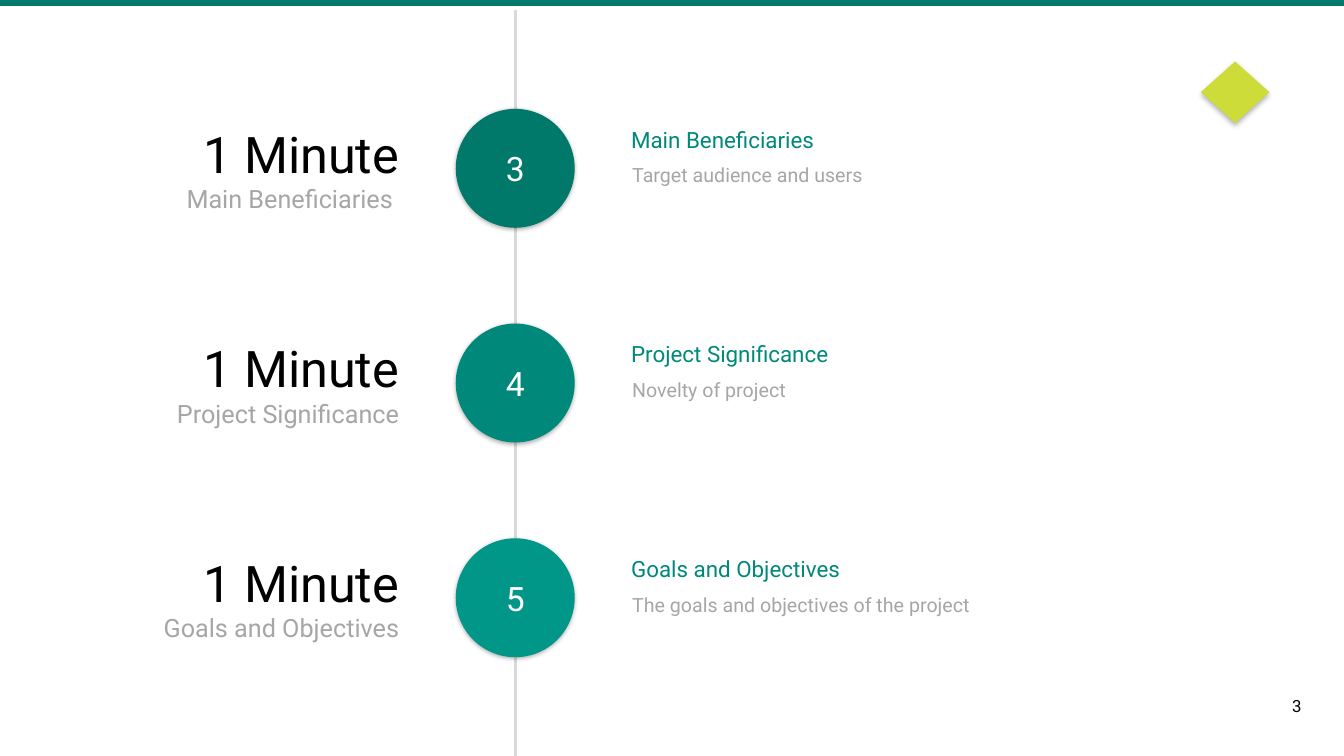
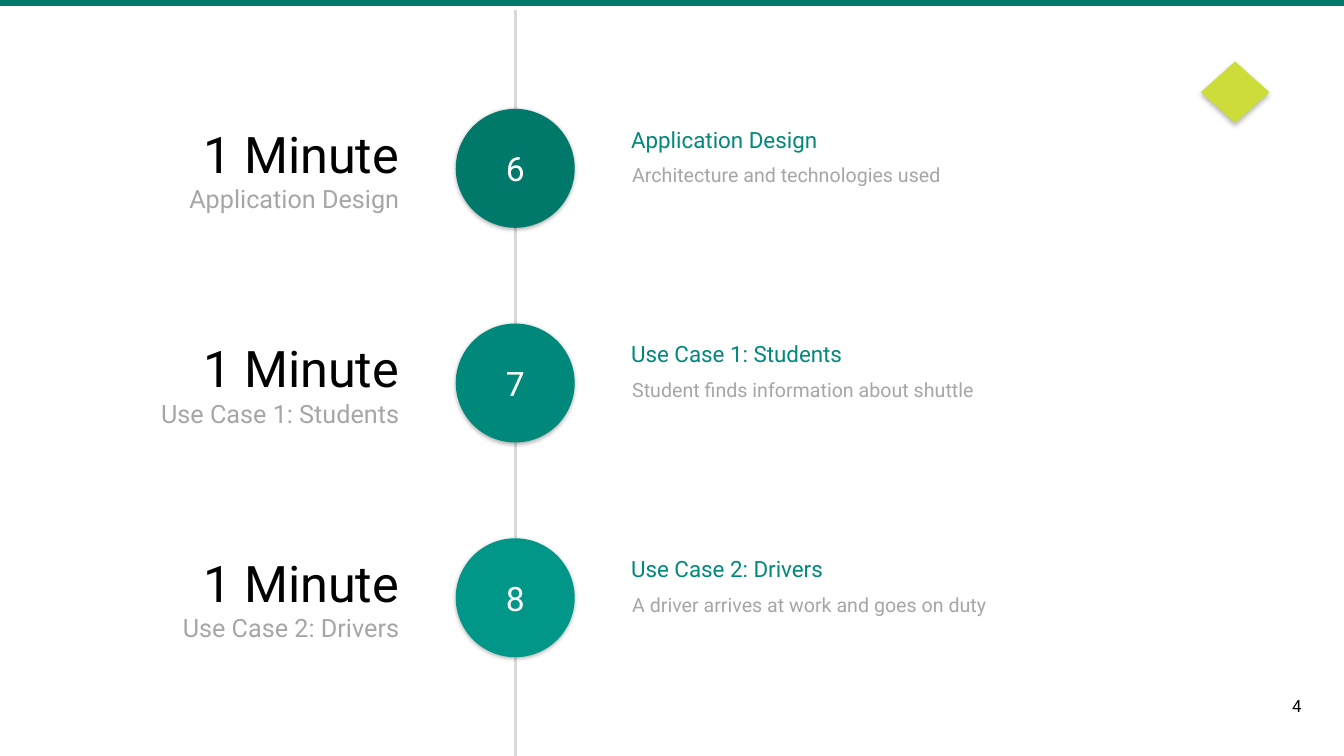
from lxml import etree
from pptx import Presentation
from pptx import util as u
from pptx.dml import color
from pptx.enum import shapes, text
from pptx.oxml import ns

PX = 9144
COLORS = {
    "dark": "00796B", "teal": "00897B", "light": "009688", "lime": "CDDC39",
    "line": "D9D9D9", "muted": "A6A6A6", "black": "000000", "white": "FFFFFF",
}
CIRCLE_COLORS = ["dark", "teal", "light"]
AXIS = 511
CIRCLE = 118
FIRST_ROW = 108
ROW_PITCH = 213
AGENDA = [
    (3, [
        (3, "Main Beneficiaries ", "Target audience and users"),
        (4, "Project Significance", "Novelty of project"),
        (5, "Goals and Objectives", "The goals and objectives of the project"),
    ]),
    (4, [
        (6, "Application Design", "Architecture and technologies used"),
        (7, "Use Case 1: Students", "Student finds information about shuttle"),
        (8, "Use Case 2: Drivers", "A driver arrives at work and goes on duty"),
    ]),
]


class Deck:
    """Holds the shared style and the slide being built."""

    font = "Roboto"
    inset = 5

    def __init__(self, width, height):
        self.presentation = Presentation()
        self.width, self.height = width, height
        self.presentation.slide_width = width * PX
        self.presentation.slide_height = height * PX
        self.slide = None

    def color(self, name):
        return color.RGBColor.from_string(COLORS[name])

    def box(self, *lengths):
        return [u.Emu(length * PX) for length in lengths]

    def shape(self, kind, left, top, width, height, fill):
        shape = self.slide.shapes.add_shape(kind, *self.box(left, top, width, height))
        shape.fill.solid()
        shape.fill.fore_color.rgb = self.color(fill)
        shape.line.fill.background()
        shape.shadow.inherit = False
        return shape

    def cast_shadow(self, shape, blur, distance):
        effects = shape._element.spPr.find(ns.qn("a:effectLst"))
        shadow = etree.SubElement(
            effects, ns.qn("a:outerShdw"), blurRad=str(u.Pt(blur)),
            dist=str(u.Pt(distance)), dir="5400000", algn="t", rotWithShape="0")
        tint = etree.SubElement(shadow, ns.qn("a:srgbClr"), val=COLORS["black"])
        etree.SubElement(tint, ns.qn("a:alpha"), val="30000")

    def set_lines(self, shape, lines, align="LEFT", anchor="TOP"):
        frame = shape.text_frame
        frame.word_wrap = True
        frame.vertical_anchor = text.MSO_ANCHOR[anchor]
        frame.margin_left = frame.margin_right = self.inset * PX
        frame.margin_top = frame.margin_bottom = self.inset * PX
        frame.text = "\n".join(content for content, size, name in lines)
        for paragraph, (content, size, name) in zip(frame.paragraphs, lines):
            paragraph.alignment = text.PP_ALIGN[align]
            for run in paragraph.runs:
                run.font.name = self.font
                run.font.size = u.Pt(size)
                run.font.color.rgb = self.color(name)

    def text(self, left, top, width, height, lines, align="LEFT", anchor="TOP"):
        shape = self.slide.shapes.add_textbox(*self.box(left, top, width, height))
        self.set_lines(shape, lines, align, anchor)

    def axis(self):
        line = self.slide.shapes.add_connector(
            shapes.MSO_CONNECTOR.STRAIGHT, *self.box(AXIS, 10, AXIS, self.height))
        line.line.color.rgb = self.color("line")
        line.line.width = u.Pt(2)
        etree.SubElement(line._element.spPr, ns.qn("a:effectLst"))

    def new_slide(self, number):
        self.slide = self.presentation.slides.add_slide(self.presentation.slide_layouts[6])
        self.shape(shapes.MSO_SHAPE.RECTANGLE, 0, 0, self.width, 6, "dark")
        mark = self.shape(shapes.MSO_SHAPE.DIAMOND, 1191, 61, 68, 61, "lime")
        self.cast_shadow(mark, 4, 2)
        self.axis()
        self.text(1236, 686, 60, 29, [(str(number), 12, "black")], "RIGHT", "MIDDLE")

    def row(self, top, fill, number, topic, detail):
        circle = self.shape(
            shapes.MSO_SHAPE.OVAL, AXIS - CIRCLE // 2, top, CIRCLE, CIRCLE, fill)
        self.cast_shadow(circle, 3, 1)
        self.set_lines(circle, [(str(number), 24, "white")], "CENTER", "MIDDLE")
        self.text(121, top + 9, 280, 100,
                  [("1 Minute", 36, "black"), (topic, 18, "muted")], "RIGHT")
        self.text(621, top + 12, 510, 36, [(topic.strip(), 16, "teal")])
        self.text(622, top + 49, 510, 34, [(detail, 14, "muted")])


def main():
    deck = Deck(1333, 750)
    for page, topics in AGENDA:
        deck.new_slide(page)
        for index, (fill, topic) in enumerate(zip(CIRCLE_COLORS, topics)):
            deck.row(FIRST_ROW + index * ROW_PITCH, fill, *topic)
    deck.presentation.save("out.pptx")


if __name__ == "__main__":
    main()
